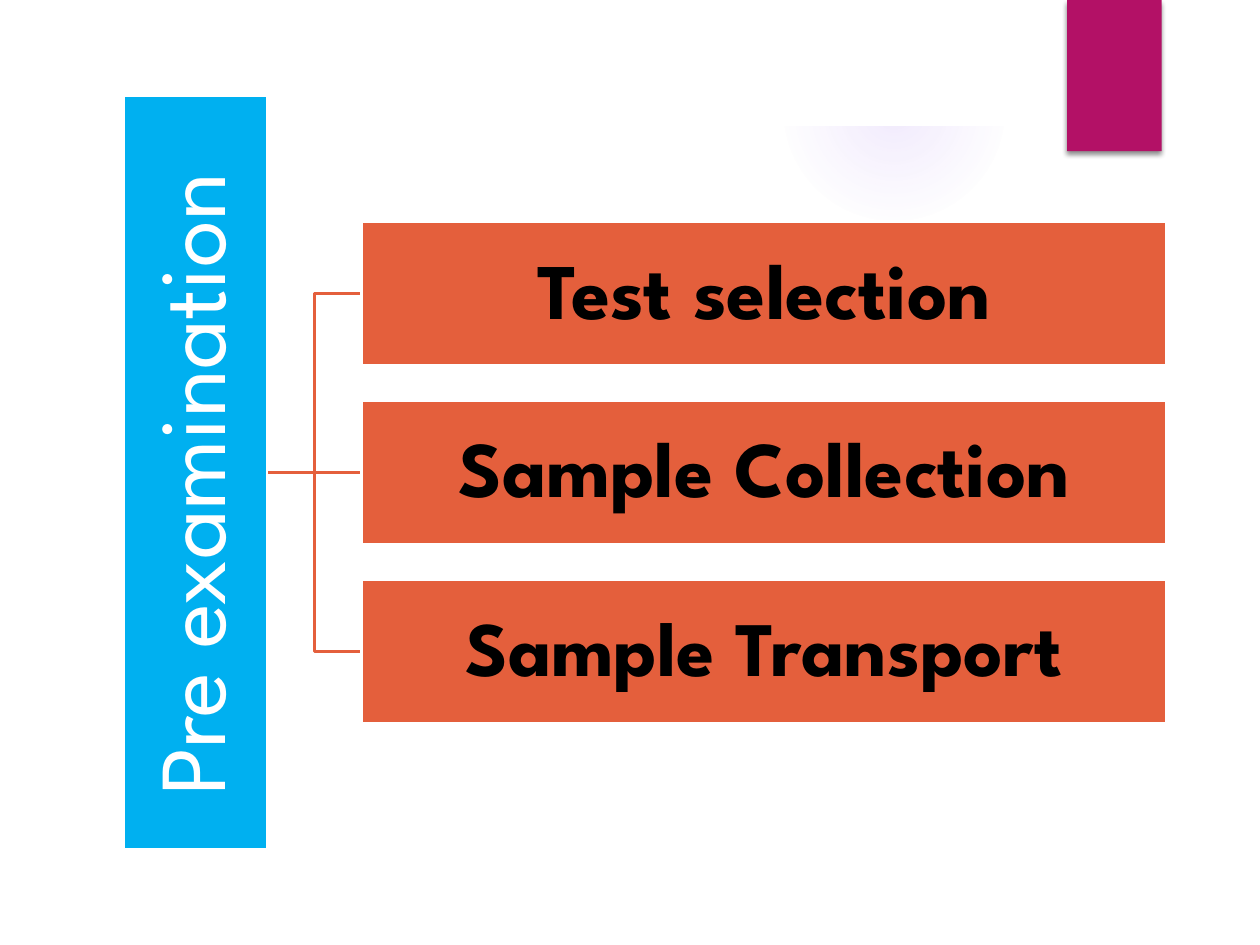
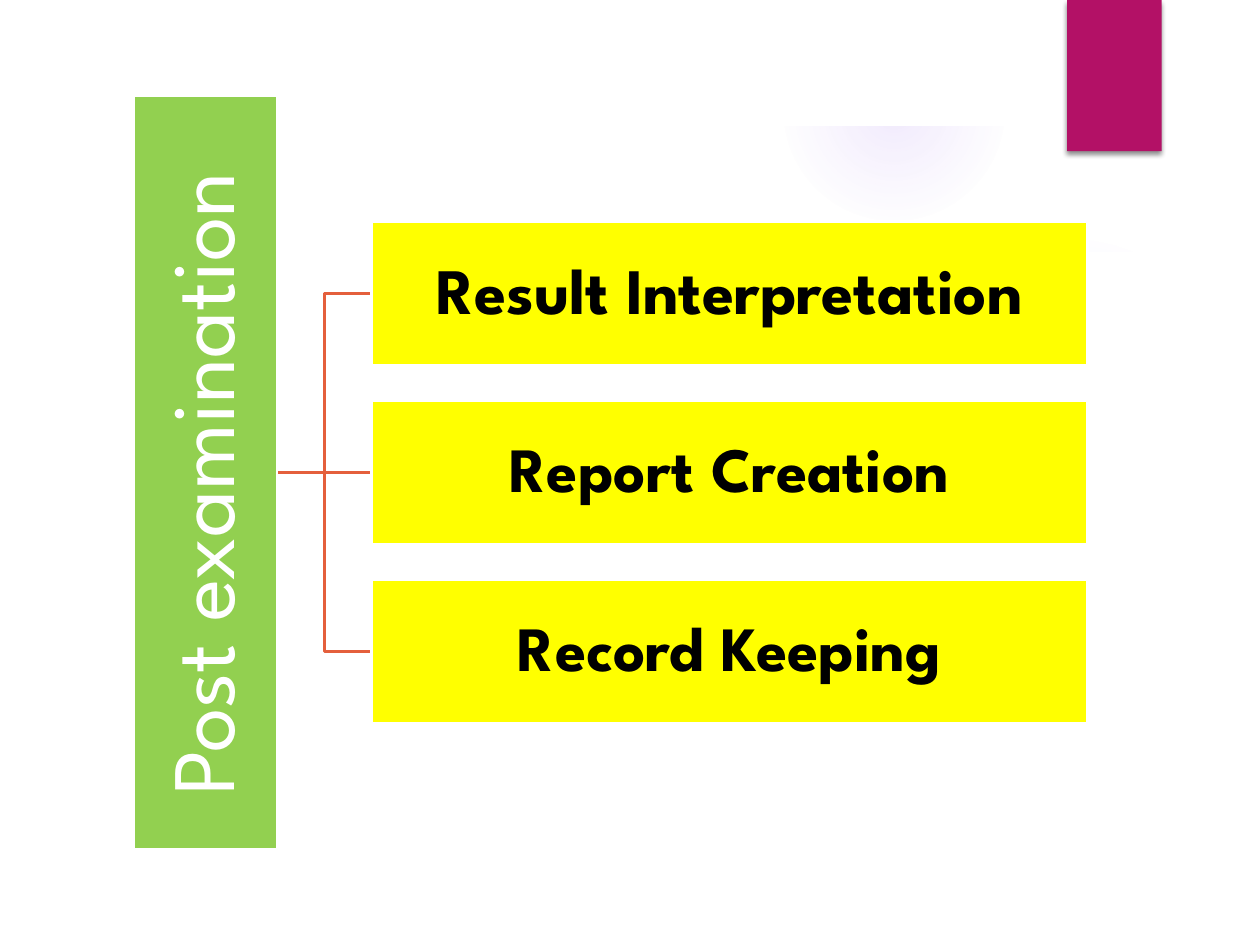
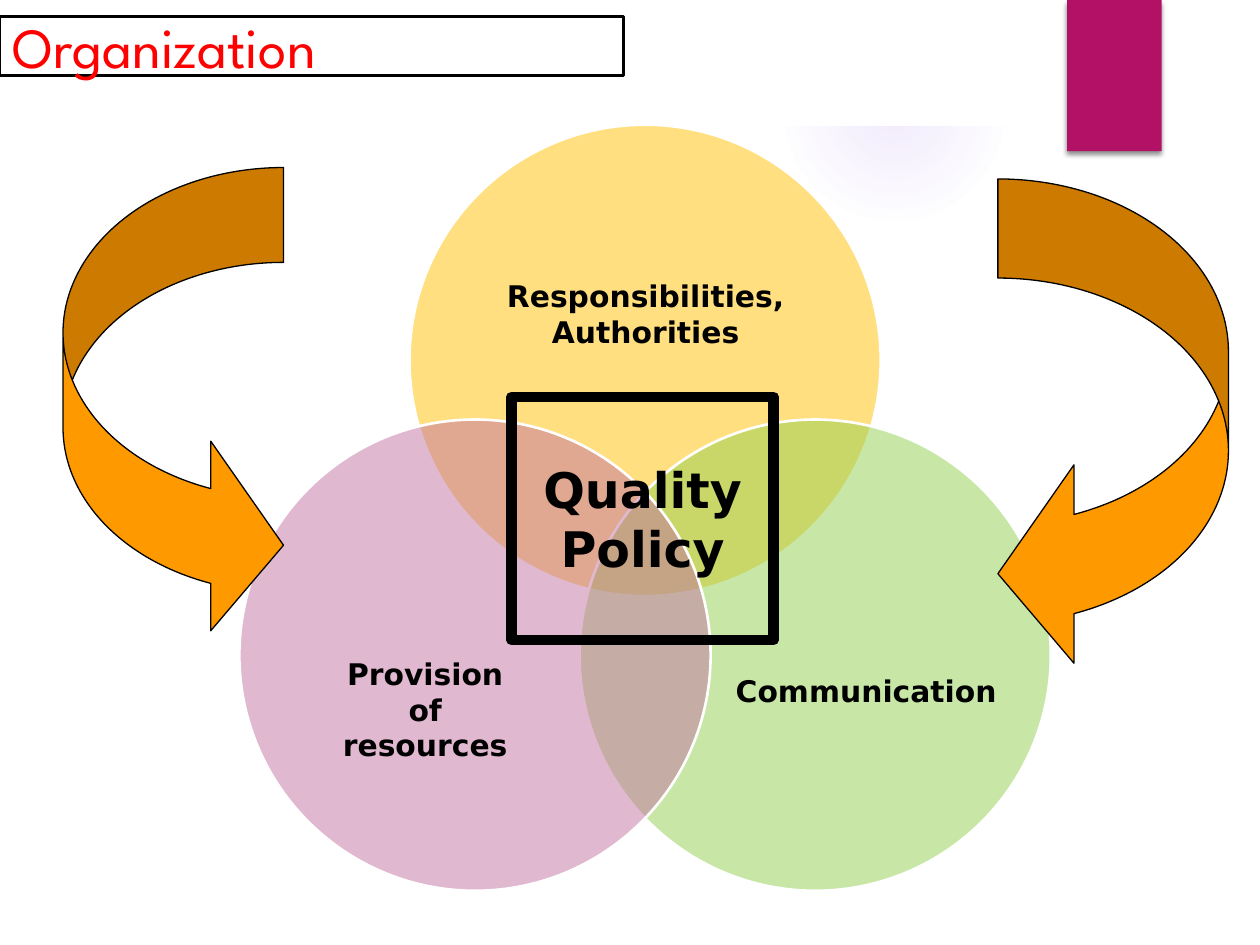
import pptx
import pptx.util
import pptx.dml.color
import pptx.enum.shapes
import pptx.enum.text
import pptx.oxml
import pptx.oxml.ns
import lxml.etree

Inches = pptx.util.Inches
Kind = pptx.enum.shapes.MSO_SHAPE
Link = pptx.enum.shapes.MSO_CONNECTOR
Align = pptx.enum.text.PP_ALIGN
Anchor = pptx.enum.text.MSO_ANCHOR
qn = pptx.oxml.ns.qn

WHITE, BLACK, RED = "FFFFFF", "000000", "FF0000"
BLUE, GREEN, YELLOW, RUST = "00B0F0", "92D050", "FFFF00", "E45F3C"
GOLD, MAUVE, ORANGE = "FFC000", "C373A3", "FF9900"
GLOW, RIBBON = "9B6BF2", "B31166"
HEAD, BODY = "League Spartan", "DejaVu Sans"

FRAME = [
    [(0, 0), (0, 7.5), (10, 7.5), (10, 0)],
    [(9.45, 6.95), (0.56, 6.95), (0.56, 0.56), (9.45, 0.56)],
]
PANEL = [[
    (0.53, 2.03), (0.53, 6.99), (9.47, 6.99), (9.47, 2.03), (8.66, 2.15),
    (7.85, 2.24), (7.04, 2.29), (6.25, 2.33), (5.48, 2.34), (4.74, 2.34),
    (4.04, 2.33), (3.38, 2.3), (2.77, 2.26), (2.22, 2.22), (1.32, 2.13),
]]


def color(code):
    """Turn a hex string into a colour."""
    return pptx.dml.color.RGBColor.from_string(code)


def place(box):
    """Turn a box in inches into lengths."""
    return [Inches(side) for side in box]


def node(parent, tag, **attrs):
    """Append a drawing element to a parent."""
    values = {name: str(value) for name, value in attrs.items()}
    return lxml.etree.SubElement(parent, qn("a:" + tag), values)


def paint(shape, fill=None, line=None, width=1.5, alpha=None):
    """Set fill, line and shadow of a shape."""
    shape.shadow.inherit = False
    if fill:
        shape.fill.solid()
        shape.fill.fore_color.rgb = color(fill)
        if alpha:
            code = shape.fill._xPr.find(".//" + qn("a:srgbClr"))
            node(code, "alpha", val=alpha * 1000)
    else:
        shape.fill.background()
    if line:
        shape.line.color.rgb = color(line)
        shape.line.width = pptx.util.Pt(width)
    else:
        shape.line.fill.background()
    return shape


def draw(slide, kind, box, **style):
    """Add a painted preset shape."""
    return paint(slide.shapes.add_shape(kind, *place(box)), **style)


def write(shape, text, size, font, ink=BLACK, bold=True,
          align=Align.CENTER, inset=0.1, space=None):
    """Fill a shape with text of one style."""
    frame = shape.text_frame
    frame.word_wrap = True
    frame.vertical_anchor = Anchor.MIDDLE
    frame.margin_left = frame.margin_right = Inches(inset)
    frame.margin_top = frame.margin_bottom = Inches(min(inset, 0.05))
    frame.text = text
    for par in frame.paragraphs:
        par.alignment = align
        par.line_spacing = space
        par.font.size = pptx.util.Pt(size)
        par.font.name = font
        par.font.bold = bold
        par.font.color.rgb = color(ink)


def glow(slide, box, stops):
    """Add a round glow that fades outward."""
    shape = draw(slide, Kind.OVAL, box, fill=GLOW)
    props = shape.fill._xPr
    solid = props.find(qn("a:solidFill"))
    grad = node(props, "gradFill", rotWithShape=1)
    props.replace(solid, grad)
    steps = node(grad, "gsLst")
    for pos, alpha in stops:
        step = node(steps, "gs", pos=pos * 1000)
        node(node(step, "srgbClr", val=GLOW), "alpha", val=alpha * 1000)
    path = node(grad, "path", path="circle")
    node(path, "fillToRect", l=50000, t=50000, r=50000, b=50000)


def sheet(slide, loops):
    """Add a white outline made of closed loops."""
    build = slide.shapes.build_freeform(*loops[0][0], scale=Inches(1))
    for num, loop in enumerate(loops):
        if num:
            build.move_to(*loop[0])
        build.add_line_segments(loop[1:], close=True)
    paint(build.convert_to_shape(), fill=WHITE)


def backdrop(slide):
    """Draw the glows, white sheets and ribbon."""
    glow(slide, (6.89, 1.83, 3.08, 3.08), [(0, 7), (36, 6), (69, 0)])
    glow(slide, (6.22, 0, 1.75, 1.75), [(0, 14), (36, 7), (73, 0)])
    sheet(slide, PANEL)
    sheet(slide, FRAME)
    ribbon = draw(slide, Kind.RECTANGLE, (8.47, 0, 0.75, 1.2), fill=RIBBON)
    effect = ribbon.fill._xPr.find(qn("a:effectLst"))
    shade = node(effect, "outerShdw", blurRad=pptx.util.Pt(3),
                 dist=pptx.util.Pt(2), dir=5400000, rotWithShape=0)
    node(node(shade, "srgbClr", val=BLACK), "alpha", val=45000)


def tree(slide, box, root, size, hue, steps, tint):
    """Draw an upright root joined to a column of steps."""
    left, top, width, height = box
    thick, gap, pitch = 1.14, 0.75, 1.42
    mid = top + height / 2
    start = left + thick + gap
    rows = [mid + (num - (len(steps) - 1) / 2) * pitch
            for num in range(len(steps))]
    links = []
    for row in rows:
        kind = Link.STRAIGHT if row == mid else Link.ELBOW
        link = slide.shapes.add_connector(
            kind, *place((left + thick, mid, start, row)))
        link.line.color.rgb = color(RUST)
        link.line.width = pptx.util.Pt(1.5)
        node(link._element.spPr, "effectLst")
        links.append(link)
    stem = draw(slide, Kind.RECTANGLE, (left, top, thick, height),
                fill=hue, line=WHITE)
    write(stem, root, size, HEAD, WHITE, False, inset=0.04, space=0.9)
    stem.text_frame._txBody.bodyPr.set("vert", "vert270")
    for row, link, (label, points) in zip(rows, links, steps):
        card = draw(slide, Kind.RECTANGLE,
                    (start, row - thick / 2, width - thick - gap, thick),
                    fill=tint, line=WHITE)
        write(card, label, points, HEAD, inset=0.03, space=0.9)
        link.begin_connect(stem, 3)
        link.end_connect(card, 1)


def title(slide, box, text):
    """Draw the framed slide title."""
    shape = draw(slide, Kind.RECTANGLE, box, fill=WHITE, line=BLACK)
    write(shape, text, 32.4, HEAD, RED, False, Align.LEFT)


def venn(slide, box):
    """Draw three labelled circles around the policy."""
    left, top = box[:2]
    size = 3.74
    parts = [
        (1.35, 0, GOLD, "Responsibilities, Authorities",
         (1.85, 0.66, 2.75, 1.68)),
        (2.7, 2.34, GREEN, "Communication", (3.85, 3.46, 2.25, 2.06)),
        (0, 2.34, MAUVE, "Provision\nof\nresources",
         (0.35, 3.61, 2.25, 2.06)),
    ]
    for across, down, hue, label, (x, y, wide, high) in parts:
        draw(slide, Kind.OVAL, (left + across, top + down, size, size),
             fill=hue, line=WHITE, alpha=50)
        note = slide.shapes.add_textbox(
            *place((left + x, top + y, wide, high)))
        write(note, label, 17, BODY, inset=0)
    core = draw(slide, Kind.RECTANGLE, (left + 2.16, top + 2.16, 2.08, 1.93),
                line=BLACK, width=6)
    write(core, "Quality Policy", 28, BODY)


def arrow(slide, kind, box):
    """Draw a curved arrow."""
    shape = draw(slide, kind, box, fill=ORANGE, line=BLACK, width=0.75)
    for num, value in enumerate((0.43, 0.86, 0.33)):
        shape.adjustments[num] = value


def main():
    """Build the three slides."""
    deck = pptx.Presentation()
    deck.slide_width, deck.slide_height = Inches(10), Inches(7.5)
    pre, post, org = [deck.slides.add_slide(deck.slide_layouts[6])
                      for _ in range(3)]
    for slide in (pre, post, org):
        backdrop(slide)
    tree(pre, (0.98, 0.76, 8.28, 5.98), "Pre examination ", 54, BLUE,
         [("Test selection", 45), ("Sample Collection", 45),
          ("Sample Transport", 44)], RUST)
    tree(post, (1.06, 0.76, 7.57, 5.98), "Post examination ", 51, GREEN,
         [("Result Interpretation", 37), ("Report Creation", 36),
          ("Record Keeping", 36)], YELLOW)
    title(org, (0, 0.13, 4.95, 0.47), "Organization")
    venn(org, (1.9, 0.99, 6.44, 6.08))
    arrow(org, Kind.CURVED_RIGHT_ARROW, (0.5, 1.33, 1.75, 3.75))
    arrow(org, Kind.CURVED_LEFT_ARROW, (7.92, 1.42, 1.83, 3.92))
    deck.save("out.pptx")


if __name__ == "__main__":
    main()
